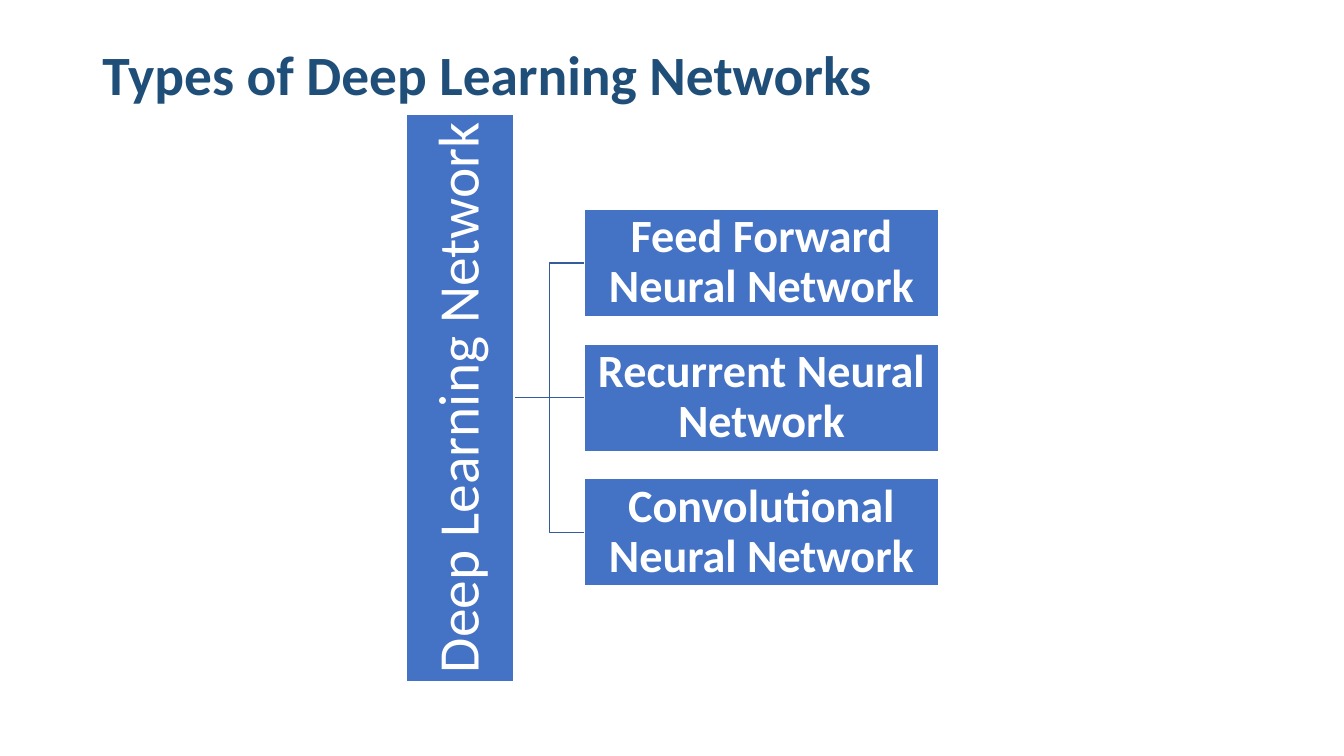
from pptx import Presentation
from pptx.dml.color import RGBColor
from pptx.enum.shapes import MSO_CONNECTOR, MSO_SHAPE
from pptx.enum.text import MSO_ANCHOR, MSO_AUTO_SIZE, PP_ALIGN
from pptx.oxml.ns import qn
from pptx.util import Pt
from lxml.etree import SubElement

NAVY = RGBColor(0x1F, 0x4E, 0x79)
BLUE = RGBColor(0x44, 0x72, 0xC4)
BRANCH_BLUE = RGBColor(0x36, 0x5B, 0x9D)
WHITE = RGBColor(0xFF, 0xFF, 0xFF)

NETWORK_TYPES = [
    "Feed Forward Neural Network",
    "Recurrent Neural Network",
    "Convolutional Neural Network",
]

# Tree geometry in points
BOX_HEIGHT = 76.8
TREE_MIDDLE = 284
ROOT_CENTER, ROOT_LENGTH = 328.7, 405.4
ROOT_RIGHT = ROOT_CENTER + BOX_HEIGHT / 2
TYPE_LEFT, TYPE_WIDTH = 417.6, 252.7
TYPE_PITCH = 96.2


def write_text(frame, text, size, color, bold, align):
    frame.text = text
    frame.word_wrap = True
    frame.auto_size = MSO_AUTO_SIZE.NONE
    frame.vertical_anchor = MSO_ANCHOR.MIDDLE
    paragraph = frame.paragraphs[0]
    paragraph.alignment = align
    paragraph.line_spacing = 0.9
    paragraph.space_before = Pt(0)
    font = paragraph.runs[0].font
    font.name = "Calibri"
    font.size = Pt(size)
    font.bold = bold
    font.color.rgb = color


def add_title(slide, text):
    title = slide.shapes.title
    title.left, title.top = Pt(66), Pt(28.8)
    title.width, title.height = Pt(828), Pt(52.6)
    write_text(title.text_frame, text, 39.6, NAVY, True, PP_ALIGN.LEFT)


def add_box(slide, left, middle, width, text, size, bold, inset, rotation=0):
    box = slide.shapes.add_shape(
        MSO_SHAPE.RECTANGLE, Pt(left), Pt(middle - BOX_HEIGHT / 2),
        Pt(width), Pt(BOX_HEIGHT))
    box.rotation = rotation
    box.shadow.inherit = False
    box.fill.solid()
    box.fill.fore_color.rgb = BLUE
    box.line.color.rgb = WHITE
    box.line.width = Pt(1)
    frame = box.text_frame
    frame.margin_left = frame.margin_right = Pt(inset)
    frame.margin_top = frame.margin_bottom = Pt(inset)
    write_text(frame, text, size, WHITE, bold, PP_ALIGN.CENTER)


def add_branch(slide, middle):
    kind = MSO_CONNECTOR.STRAIGHT if middle == TREE_MIDDLE else MSO_CONNECTOR.ELBOW
    branch = slide.shapes.add_connector(
        kind, Pt(ROOT_RIGHT), Pt(TREE_MIDDLE), Pt(TYPE_LEFT), Pt(middle))
    branch.line.color.rgb = BRANCH_BLUE
    branch.line.width = Pt(1)
    SubElement(branch._element.spPr, qn("a:effectLst"))


def main():
    presentation = Presentation()
    presentation.slide_width, presentation.slide_height = Pt(960), Pt(540)
    slide = presentation.slides.add_slide(presentation.slide_layouts[5])
    add_title(slide, "Types of Deep Learning Networks")

    # Branches lie behind the boxes
    middles = [TREE_MIDDLE + (row - 1) * TYPE_PITCH
               for row in range(len(NETWORK_TYPES))]
    for middle in middles:
        add_branch(slide, middle)

    # Root, turned to read upwards
    add_box(slide, ROOT_CENTER - ROOT_LENGTH / 2, TREE_MIDDLE, ROOT_LENGTH,
            "Deep Learning Network", 41, False, 2, rotation=270)

    # Network types
    for network_type, middle in zip(NETWORK_TYPES, middles):
        add_box(slide, TYPE_LEFT, middle, TYPE_WIDTH, network_type, 33, True, 1.6)

    presentation.save("out.pptx")


if __name__ == "__main__":
    main()
